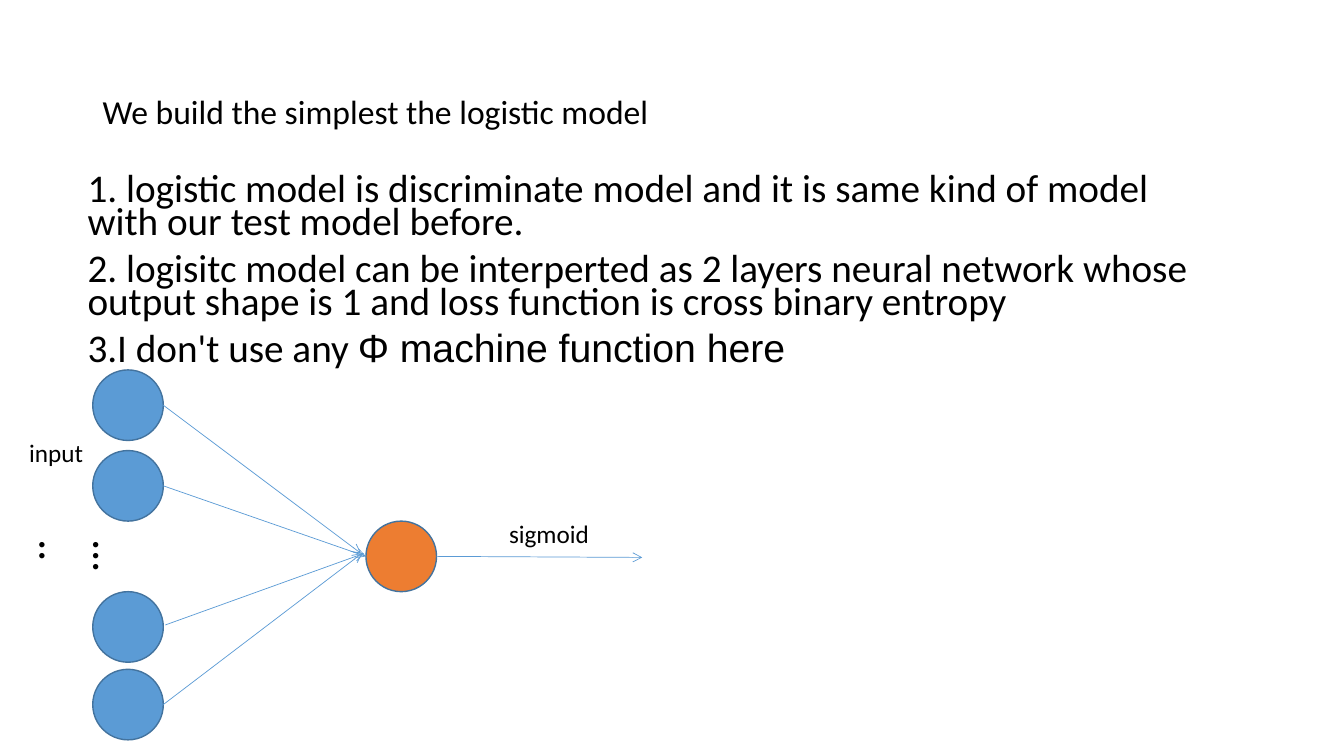
import pptx
import pptx.util
import pptx.dml.color
import pptx.enum.shapes
import pptx.enum.text
import pptx.oxml.ns
import lxml.etree

Inches = pptx.util.Inches
Pt = pptx.util.Pt
RGBColor = pptx.dml.color.RGBColor
ANCHOR = pptx.enum.text.MSO_ANCHOR
FIT = pptx.enum.text.MSO_AUTO_SIZE

BLACK = RGBColor(0x00, 0x00, 0x00)
BLUE = RGBColor(0x5B, 0x9B, 0xD5)
NAVY = RGBColor(0x43, 0x73, 0x9E)
ORANGE = RGBColor(0xED, 0x7D, 0x31)

TITLE = [[("We build the simplest the logistic model", "Calibri")]]
POINTS = [
    [("1. logistic model is discriminate model and it is same kind of model "
      "with our test model before.", "Calibri")],
    [("2. logisitc model can be interperted as 2 layers neural network whose "
      "output shape is 1 and loss function is cross binary entropy", "Calibri")],
    [("3.I don't use any ", "Calibri"), ("Φ machine function here", "Arial")],
]
LABELS = [
    ("input", (0.19, 4.29, 1.11, 0.4), 18, None),
    ("sigmoid", (4.95, 5.09, 1.35, 0.4), 18, None),
    (".....", (0.68, 5.25, 0.74, 0.62), 32, "eaVert"),
]
SIZE = 0.7
INPUT_X = 0.92
INPUTS = [
    (3.67, (1.62, 4.02), (3.58, 5.49)),
    (4.47, (1.62, 4.82), (3.63, 5.52)),
    (5.87, (1.64, 6.2), (3.61, 5.49)),
    (6.64, (1.62, 6.99), (3.59, 5.49)),
]
OUTPUT = (3.63, 5.17)
EXIT = ((4.33, 5.52), (6.37, 5.53))

deck = pptx.Presentation()
deck.slide_width = Inches(13.33)
deck.slide_height = Inches(7.5)
slide = deck.slides.add_slide(deck.slide_layouts[6])


def add_text(paras, area, size, anchor=ANCHOR.TOP, lead=None, gap=0):
    box = slide.shapes.add_textbox(*map(Inches, area))
    frame = box.text_frame
    frame.word_wrap = True
    frame.vertical_anchor = anchor
    for i, runs in enumerate(paras):
        para = frame.add_paragraph() if i else frame.paragraphs[0]
        if lead:
            para.line_spacing = lead
        para.space_before = Pt(gap if i else 0)
        for words, face in runs:
            run = para.add_run()
            run.text = words
            run.font.name = face
            run.font.size = Pt(size)
            run.font.color.rgb = BLACK
    return frame


def add_node(x, y, color):
    node = slide.shapes.add_shape(
        pptx.enum.shapes.MSO_SHAPE.OVAL, *map(Inches, (x, y, SIZE, SIZE)))
    node.shadow.inherit = False
    node.fill.solid()
    node.fill.fore_color.rgb = color
    node.line.color.rgb = NAVY
    node.line.width = Pt(1)


def add_arrow(start, end):
    arrow = slide.shapes.add_connector(
        pptx.enum.shapes.MSO_CONNECTOR.STRAIGHT, *map(Inches, start + end))
    arrow.line.color.rgb = BLUE
    arrow.line.width = Pt(0.5)
    qn = pptx.oxml.ns.qn
    props = arrow.element.spPr
    tail = lxml.etree.SubElement(props.find(qn("a:ln")), qn("a:tailEnd"))
    tail.set("type", "arrow")
    lxml.etree.SubElement(props, qn("a:effectLst"))


add_text(TITLE, (0.92, 0.4, 11.5, 1.45), 24, ANCHOR.MIDDLE, 0.9)
add_text(POINTS, (0.77, 1.7, 11.5, 2.21), 28, lead=0.7, gap=10)

for top, start, end in INPUTS:
    add_node(INPUT_X, top, BLUE)
    add_arrow(start, end)
add_node(*OUTPUT, ORANGE)
add_arrow(*EXIT)

for words, area, size, turn in LABELS:
    frame = add_text([[(words, "Calibri")]], area, size)
    frame.auto_size = FIT.SHAPE_TO_FIT_TEXT
    if turn:
        frame._txBody.bodyPr.set("vert", turn)

deck.save("out.pptx")
